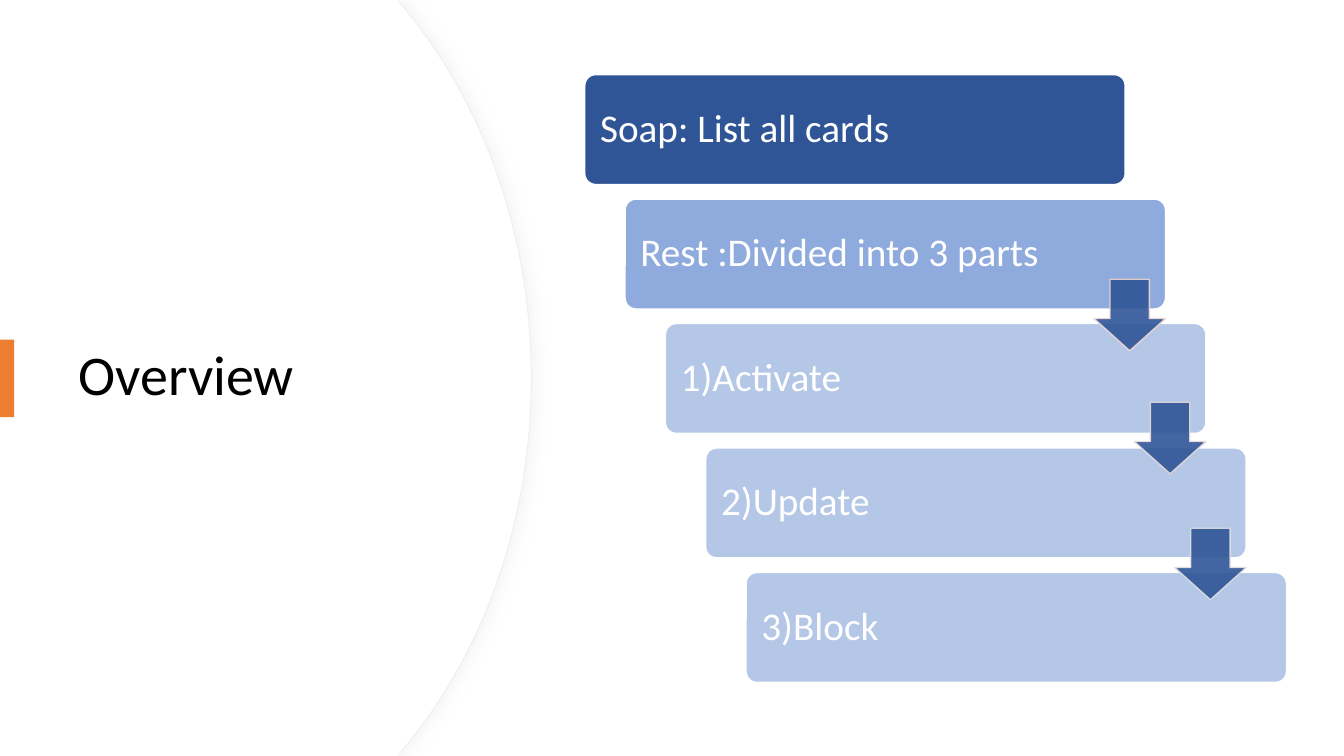
from lxml.etree import SubElement
from pptx import Presentation
from pptx.dml.color import RGBColor
from pptx.enum.shapes import MSO_SHAPE
from pptx.enum.text import MSO_ANCHOR, MSO_AUTO_SIZE, PP_ALIGN
from pptx.oxml.ns import qn
from pptx.util import Inches, Pt

COLORS = {
    "white": "FFFFFF", "black": "000000", "rim": "EFEFEF", "shade": "D9D9D9",
    "accent": "ED7D31", "dark": "2F5597", "mid": "8FAADC", "light": "B4C7E7",
    "rose": "F1D8D4", "blush": "E9DBDA", "gray": "E1E1E1",
}
STEPS = [
    ("Soap: List all cards", "dark"),
    ("Rest :Divided into 3 parts", "mid"),
    ("1)Activate", "light"),
    ("2)Update", "light"),
    ("3)Block", "light"),
]
ARROWS = [(2.77, "rose"), (3.99, "blush"), (5.24, "gray")]


def color(name):
    return RGBColor.from_string(COLORS[name])


def paint(shape, fill, line=None, width=1):
    shape.shadow.inherit = False
    shape.fill.solid()
    shape.fill.fore_color.rgb = color(fill)
    if line:
        shape.line.color.rgb = color(line)
        shape.line.width = Pt(width)
    else:
        shape.line.fill.background()


def write(shape, text, size, ink):
    frame = shape.text_frame
    frame.word_wrap = True
    frame.auto_size = MSO_AUTO_SIZE.NONE
    frame.vertical_anchor = MSO_ANCHOR.MIDDLE
    frame.text = text
    para = frame.paragraphs[0]
    para.alignment = PP_ALIGN.LEFT
    para.line_spacing = 0.9
    para.font.name = "Calibri"
    para.font.size = Pt(size)
    para.font.color.rgb = color(ink)
    return frame


def bend(lines):
    first = lines[0]
    curve = first.makeelement(qn("a:cubicBezTo"))
    first.addprevious(curve)
    for line in lines:
        curve.append(line[0])
        line.getparent().remove(line)


def add_panel(slide, left, top, width, height):
    mid, knee = height / 2, width - 1.26
    upper = [(knee, 0.08), (width - 0.48, 1.02), (width, 2.32)]
    lower = [(x, height - y) for x, y in reversed(upper)]
    points = [(3.94, 0), *upper, (width, mid), *lower, (3.94, height), (0, height)]
    build = slide.shapes.build_freeform(Inches(left), Inches(top))
    build.add_line_segments(
        [(Inches(left + x), Inches(top + y)) for x, y in points], close=True)
    panel = build.convert_to_shape()
    lines = list(panel.element.spPr.iter(qn("a:lnTo")))
    bend(lines[2:5])
    bend(lines[5:8])
    return panel


def add_shadow(shape):
    effects = shape.element.spPr.find(qn("a:effectLst"))
    outer = SubElement(effects, qn("a:outerShdw"), blurRad=str(Pt(10)),
                       dist=str(Pt(3)), dir="0", algn="l", rotWithShape="0")
    tint = SubElement(outer, qn("a:srgbClr"), val=COLORS["shade"])
    SubElement(tint, qn("a:alpha"), val="25000")


def add_title(slide, left, top, width, height):
    rim = add_panel(slide, 0, 0, 5.27, 7.5)
    paint(rim, "white", "rim", 0.75)
    add_shadow(rim)
    paint(add_panel(slide, 0, 0, 5.26, 7.5), "white")

    title = slide.shapes.title
    title.left, title.top = Inches(left), Inches(top)
    title.width, title.height = Inches(width), Inches(height)
    write(title, "Overview", 40, "black")
    title.element.getparent().append(title.element)

    mark = slide.shapes.add_shape(
        MSO_SHAPE.RECTANGLE, 0, Inches(top + 2.1), Inches(0.14), Inches(0.77))
    paint(mark, "accent")


def add_arrow(slide, left, top, side, rim):
    arrow = slide.shapes.add_shape(
        MSO_SHAPE.DOWN_ARROW, Inches(left), Inches(top), Inches(side), Inches(side))
    arrow.adjustments[0] = 0.55
    arrow.adjustments[1] = 0.45
    paint(arrow, "dark", rim)
    for tint in arrow.element.spPr.iter(qn("a:srgbClr")):
        SubElement(tint, qn("a:alpha"), val="90000")


def add_steps(slide, left, top, width, height):
    wide, high, side = 5.36, 1.09, 0.71
    shift = (width - wide) / (len(STEPS) - 1)
    pitch = (height - high) / (len(STEPS) - 1)
    for row, (text, fill) in enumerate(STEPS):
        bar = slide.shapes.add_shape(
            MSO_SHAPE.ROUNDED_RECTANGLE, Inches(left + row * shift),
            Inches(top + row * pitch), Inches(wide), Inches(high))
        bar.adjustments[0] = 0.1
        paint(bar, fill, "white")
        frame = write(bar, text, 28, "white")
        frame.margin_left = frame.margin_right = Inches(0.12)
    for row, (drop, rim) in enumerate(ARROWS, 1):
        add_arrow(slide, left + row * shift + wide - side,
                  top + drop - 0.74, side, rim)


def main():
    deck = Presentation()
    deck.slide_width, deck.slide_height = Inches(13.33), Inches(7.5)
    slide = deck.slides.add_slide(deck.slide_layouts[5])
    add_title(slide, 0.68, 1.27, 3.94, 4.95)
    add_steps(slide, 5.8, 0.74, 6.96, 6.03)
    deck.save("out.pptx")


if __name__ == "__main__":
    main()
